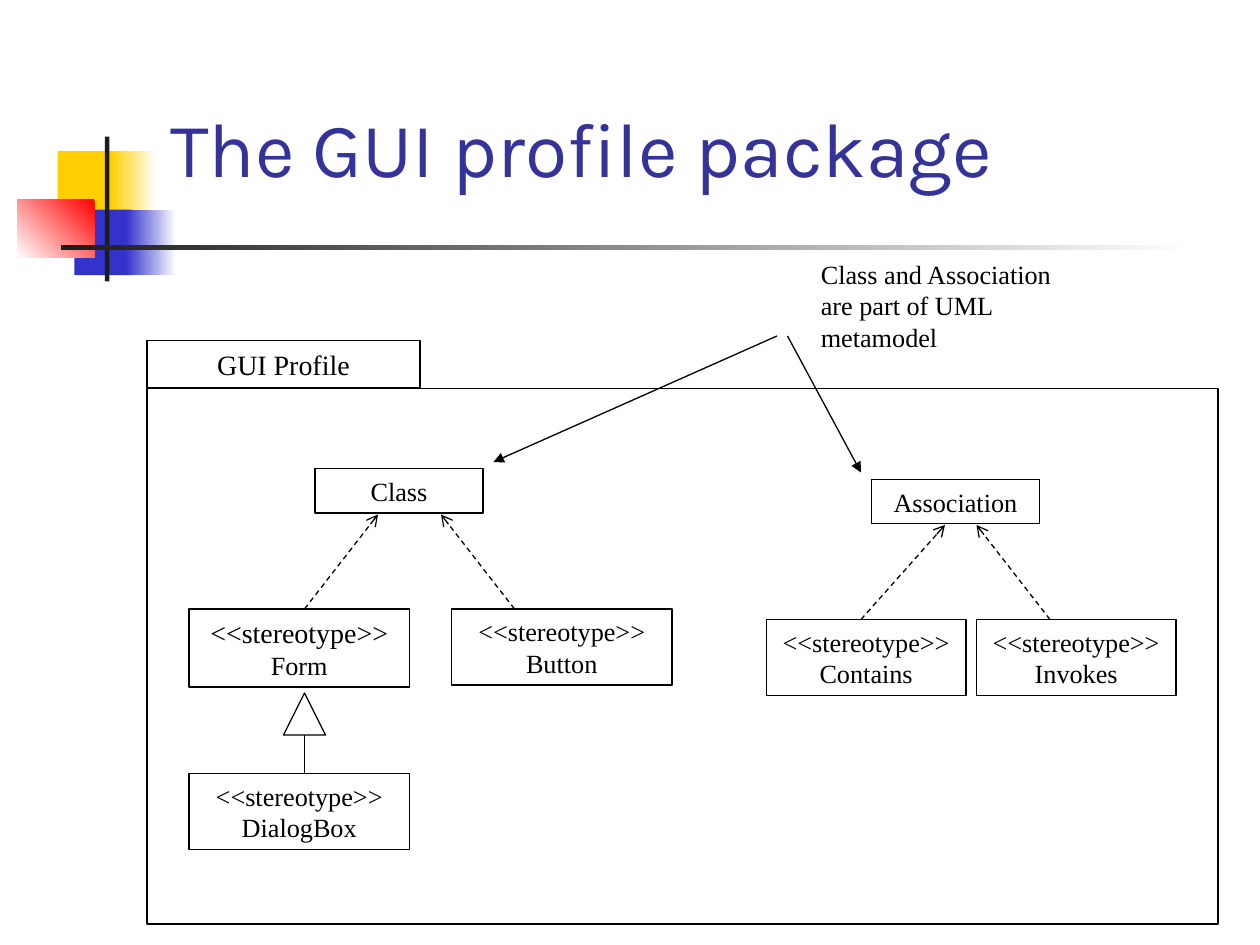
from dataclasses import dataclass
from lxml.etree import SubElement
from pptx import Presentation
from pptx.dml.color import RGBColor
from pptx.enum.dml import MSO_LINE
from pptx.enum.shapes import MSO_CONNECTOR, MSO_SHAPE
from pptx.enum.text import MSO_ANCHOR, PP_ALIGN
from pptx.oxml.ns import qn
from pptx.util import Pt


@dataclass(frozen=True)
class Theme:
    head: str = "Karla"
    body: str = "Times New Roman"
    title: str = "333399"
    ink: str = "000000"
    white: str = "FFFFFF"
    gold: str = "FFCF01"
    blue: str = "3333CC"
    red: str = "FF0000"
    dark: str = "1C1C1C"
    big: int = 44
    mid: int = 16
    small: int = 15
    line: float = 0.74


look = Theme()
title = "The GUI profile package"
note = "Class and Association are part of UML metamodel"
kind = "<<stereotype>>"

decor = [
    ((33, 86.4, 34.6, 37.4), [look.gold], 0),
    ((63.4, 86.4, 25.9, 37.4), [look.white, look.gold], 180),
    ((42.5, 119.8, 33.1, 37.4), [look.blue], 0),
    ((72, 119.8, 28.8, 37.4), [look.white, look.blue], 180),
    ((10, 113.8, 44, 33.4), [look.red, look.white], 225),
    ((60, 78, 2.5, 82.8), [look.dark], 0),
    ((34.8, 140.2, 648, 2.5), [look.white, look.dark], 180),
]
boxes = [
    ((84, 194.4, 156, 27), [("GUI Profile", look.mid)]),
    ((180, 267.8, 96, 25.4), [("Class", look.small)]),
    ((498, 274, 96, 25.4), [("Association", look.small)]),
    ((108, 348, 126, 44.6), [(kind, look.mid), ("Form", look.small)]),
    ((258, 348, 126, 43.4), [(kind, look.small), ("Button", look.small)]),
    ((108, 442, 126, 43.4), [(kind, look.small), ("DialogBox", look.small)]),
    ((438, 354, 114, 43.4), [(kind, look.small), ("Contains", look.small)]),
    ((558, 354, 114, 43.4), [(kind, look.small), ("Invokes", look.small)]),
]
frame = (84, 222, 612, 306)
tip = (162, 396, 24, 24)
extends = [
    (174, 348, 216, 294),
    (294, 348, 252, 294),
    (492, 354, 540, 300),
    (600, 354, 558, 300),
]
pointers = [(444, 192, 282, 264), (450, 192, 492, 270)]
inherit = (174, 420, 174, 442)


def rgb(code):
    return RGBColor.from_string(code)


def style(para, size, font=look.body, color=look.ink):
    for run in para.runs:
        run.font.size = Pt(size)
        run.font.name = font
        run.font.color.rgb = rgb(color)


def block(place, form=MSO_SHAPE.RECTANGLE):
    shape = slide.shapes.add_shape(form, *map(Pt, place))
    shape.shadow.inherit = False
    shape.fill.background()
    return shape


def border(item):
    item.line.color.rgb = rgb(look.ink)
    item.line.width = Pt(look.line)
    return item


def paint(place, colors, angle):
    shape = block(place)
    shape.line.fill.background()
    if len(colors) == 1:
        shape.fill.solid()
        shape.fill.fore_color.rgb = rgb(colors[0])
    else:
        shape.fill.gradient()
        shape.fill.gradient_angle = angle
        for stop, color in zip(shape.fill.gradient_stops, colors):
            stop.color.rgb = rgb(color)


def label(place, lines):
    text = border(block(place)).text_frame
    text.vertical_anchor = MSO_ANCHOR.MIDDLE
    text.text = "\n".join(words for words, size in lines)
    for para, (words, size) in zip(text.paragraphs, lines):
        para.alignment = PP_ALIGN.CENTER
        style(para, size)


def link(ends, head=None, dash=False):
    line = border(slide.shapes.add_connector(MSO_CONNECTOR.STRAIGHT, *map(Pt, ends)))
    if dash:
        line.line.dash_style = MSO_LINE.DASH
    props = line._element.spPr
    if head:
        SubElement(props.find(qn("a:ln")), qn("a:tailEnd"), type=head)
    SubElement(props, qn("a:effectLst"))


deck = Presentation()
deck.slide_width, deck.slide_height = Pt(720), Pt(540)
slide = deck.slides.add_slide(deck.slide_layouts[5])

for part in decor:
    paint(*part)

top = slide.shapes.title
top.left, top.top, top.width, top.height = map(Pt, (90, 24, 613.4, 90))
top.text_frame.text = title
top.text_frame.vertical_anchor = MSO_ANCHOR.BOTTOM
top.text_frame.paragraphs[0].alignment = PP_ALIGN.LEFT
style(top.text_frame.paragraphs[0], look.big, look.head, look.title)

border(block(frame))
for box in boxes:
    label(*box)
for ends in extends:
    link(ends, "arrow", True)
border(block(tip, MSO_SHAPE.ISOSCELES_TRIANGLE))
link(inherit)
for ends in pointers:
    link(ends, "triangle")

text = slide.shapes.add_textbox(*map(Pt, (462, 144, 164, 61.4))).text_frame
text.word_wrap = True
text.text = note
style(text.paragraphs[0], look.small)

deck.save("out.pptx")
